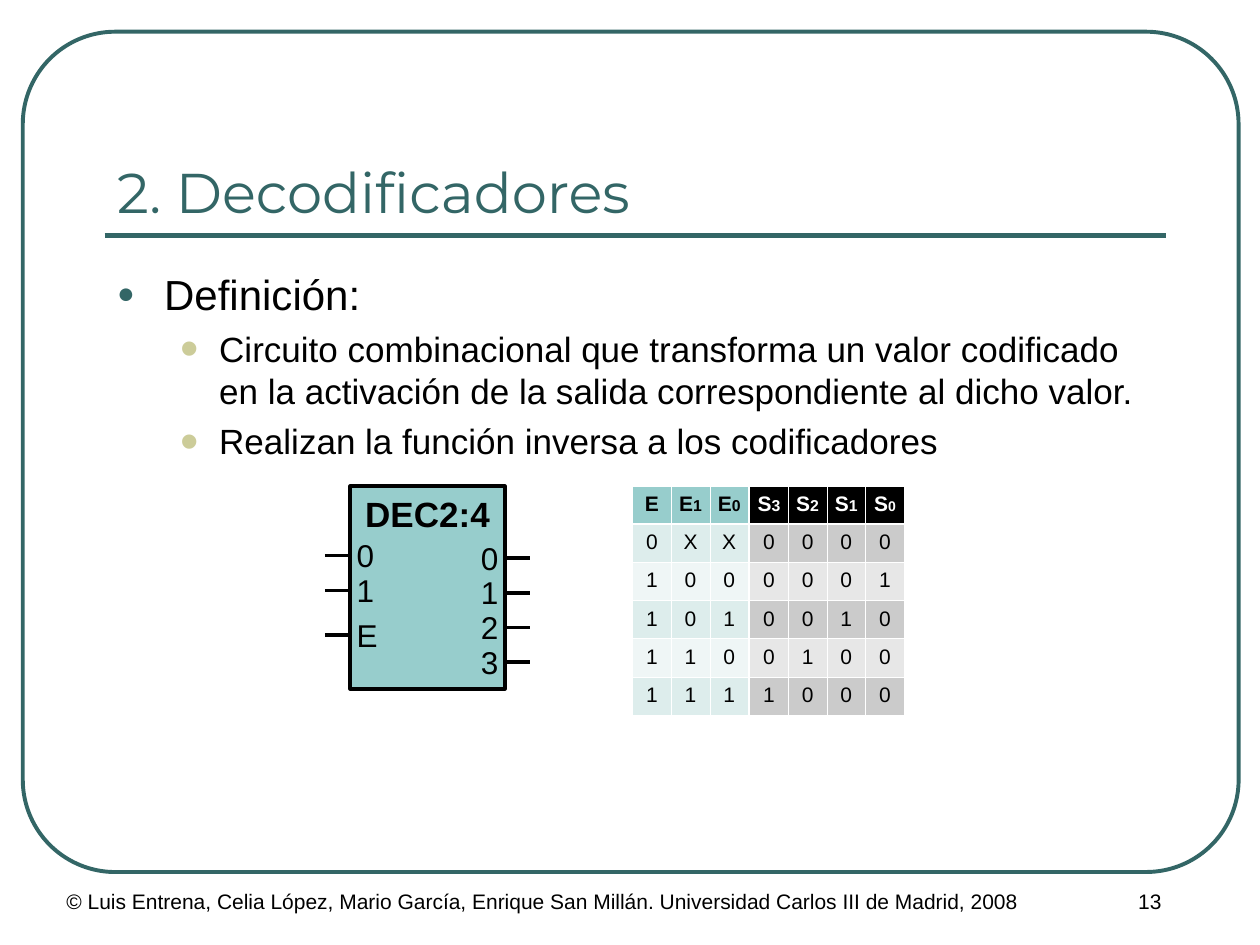
from lxml.etree import SubElement
from pptx import Presentation
from pptx.dml.color import RGBColor
from pptx.enum.shapes import MSO_CONNECTOR as Connector, MSO_SHAPE as Shape
from pptx.enum.text import MSO_ANCHOR as Anchor, MSO_AUTO_SIZE as AutoSize, PP_ALIGN as Align
from pptx.oxml.ns import qn
from pptx.util import Cm, Pt

rgb = RGBColor.from_string
TEAL, AQUA, BLACK, WHITE = "336666", "97CDCC", "000000", "FFFFFF"


def add_run(para, text, size, color=BLACK, font="Arial", bold=False):
    span = para.add_run()
    span.text = text
    for name, value in {"name": font, "size": Pt(size), "bold": bold}.items():
        setattr(span.font, name, value)
    span.font.color.rgb = rgb(color)


def add_line(x1, x2, y, color, width):
    """Draw a horizontal line; positions in centimetres, width in points."""
    line = page.shapes.add_connector(Connector.STRAIGHT, Cm(x1), Cm(y), Cm(x2), Cm(y))
    line.line.color.rgb = rgb(color)
    line.line.width = Pt(width)
    SubElement(line._element.spPr, qn("a:effectLst"))


deck = Presentation()
deck.slide_width, deck.slide_height = Cm(25.4), Cm(19.05)
page = deck.slides.add_slide(deck.slide_layouts[6])

# Frame and title rule
frame = page.shapes.add_shape(Shape.ROUNDED_RECTANGLE, Cm(0.46), Cm(0.64), Cm(24.51), Cm(16.94))
frame.adjustments[0] = 0.11
frame.shadow.inherit = False
frame.fill.background()
frame.line.color.rgb = rgb(TEAL)
frame.line.width = Pt(2.25)
add_line(2.11, 23.5, 4.75, TEAL, 3)

# Footer, page number and title
credit = "© Luis Entrena, Celia López, Mario García, Enrique San Millán. Universidad Carlos III de Madrid, 2008"
for text, place, size, color, font, align, anchor in [
    (credit, (1.09, 17.78, 21.59, 1.27), 12, BLACK, "Arial", Align.LEFT, Anchor.TOP),
    ("13", (20.96, 17.78, 4.44, 1.27), 12, BLACK, "Arial", Align.CENTER, Anchor.TOP),
    ("2. Decodificadores", (2.11, 1.47, 21.39, 3.18), 32, TEAL, "Montserrat", Align.LEFT, Anchor.BOTTOM),
]:
    box = page.shapes.add_textbox(*map(Cm, place)).text_frame
    box.word_wrap = True
    box.vertical_anchor = anchor
    box.paragraphs[0].alignment = align
    add_run(box.paragraphs[0], text, size, color, font)

# Definition
LEVELS = [
    {"size": 24, "margin": 0.95, "hang": 0.95, "bullet": "●", "color": TEAL, "scale": 70},
    {"size": 20, "margin": 2.06, "hang": 0.79, "bullet": "•", "color": "CCCC99", "scale": 150},
]
body = page.shapes.add_textbox(Cm(2.11), Cm(5.28), Cm(21.39), Cm(4.45)).text_frame
body.word_wrap = True
for index, (level, text) in enumerate([
    (0, "Definición:"),
    (1, "Circuito combinacional que transforma un valor codificado en la activación "
        "de la salida correspondiente al dicho valor."),
    (1, "Realizan la función inversa a los codificadores"),
]):
    style = LEVELS[level]
    para = body.add_paragraph() if index else body.paragraphs[0]
    para.level = level
    props = para._p.get_or_add_pPr()
    props.set("marL", str(Cm(style["margin"])))
    props.set("indent", str(-Cm(style["hang"])))
    SubElement(SubElement(props, qn("a:buClr")), qn("a:srgbClr"), val=style["color"])
    SubElement(props, qn("a:buSzPct"), val=str(style["scale"] * 1000))
    SubElement(props, qn("a:buFont"), typeface="Arial")
    SubElement(props, qn("a:buChar"), char=style["bullet"])
    if index:
        para.space_before = Pt(5)
    add_run(para, text, style["size"])

# Decoder block
block_left, block_width, pin_length, label_gap = 7.06, 3.12, 0.51, 0.13
block_right = block_left + block_width
block = page.shapes.add_shape(Shape.RECTANGLE, Cm(block_left), Cm(9.8), Cm(block_width), Cm(4.09))
block.shadow.inherit = False
block.fill.solid()
block.fill.fore_color.rgb = rgb(AQUA)
block.line.color.rgb = rgb(BLACK)
block.line.width = Pt(2)
block.text_frame.word_wrap = False
block.text_frame.vertical_anchor = Anchor.TOP
block.text_frame.paragraphs[0].alignment = Align.CENTER
add_run(block.text_frame.paragraphs[0], "DEC2:4", 20, bold=True)

inputs = [("0", 11.2), ("1", 11.9), ("E", 12.8)]
outputs = [(str(number), 11.25 + 0.7 * number) for number in range(4)]
for pins, pin_left, align in [
    (inputs, block_left - pin_length, Align.LEFT),
    (outputs, block_right, Align.RIGHT),
]:
    for text, y in pins:
        add_line(pin_left, pin_left + pin_length, y, BLACK, 2)
        width = 0.43 if text == "E" else 0.36
        left = block_left + label_gap if align == Align.LEFT else block_right - label_gap - width
        label = page.shapes.add_textbox(Cm(left), Cm(y - 0.39), Cm(width), Cm(0.76)).text_frame
        for name, value in {
            "margin_left": 0, "margin_right": 0, "margin_top": 0, "margin_bottom": 0,
            "word_wrap": False, "vertical_anchor": Anchor.MIDDLE,
            "auto_size": AutoSize.SHAPE_TO_FIT_TEXT,
        }.items():
            setattr(label, name, value)
        label.paragraphs[0].alignment = align
        add_run(label.paragraphs[0], text, 18)

# Truth table: inputs on the left, outputs on the right
column_width, row_height = 0.78, 0.71
input_rows = [["E", "E1", "E0"], "0XX", "100", "101", "110", "111"]
output_rows = [["S3", "S2", "S1", "S0"], "0000", "0001", "0010", "0100", "1000"]
for rows, left, head_fill, head_color, bands in [
    (input_rows, 12.75, AQUA, BLACK, ("EFF6F6", "DDEDEC")),
    (output_rows, 15.11, BLACK, WHITE, ("E7E7E7", "CBCBCB")),
]:
    columns = len(rows[0])
    table = page.shapes.add_table(
        len(rows), columns, Cm(left), Cm(9.8),
        Cm(column_width * columns), Cm(row_height * len(rows))).table
    table.first_row = table.horz_banding = False
    for column in table.columns:
        column.width = Cm(column_width)
    for row_index, values in enumerate(rows):
        table.rows[row_index].height = Cm(row_height)
        is_head = row_index == 0
        for column_index, text in enumerate(values):
            cell = table.cell(row_index, column_index)
            for name, value in {
                "margin_left": 0.1, "margin_right": 0.1, "margin_top": 0.13, "margin_bottom": 0.13,
            }.items():
                setattr(cell, name, Cm(value))
            borders = {"lnL": 0.45, "lnR": 0.45,
                       "lnT": 1.47 if row_index == 1 else 0.45,
                       "lnB": 1.47 if is_head else 0.45}
            for tag, width in borders.items():
                border = SubElement(cell._tc.get_or_add_tcPr(), qn("a:" + tag), w=str(Pt(width)))
                SubElement(SubElement(border, qn("a:solidFill")), qn("a:srgbClr"), val=WHITE)
            cell.fill.solid()
            cell.fill.fore_color.rgb = rgb(head_fill if is_head else bands[row_index % 2])
            para = cell.text_frame.paragraphs[0]
            para.alignment = Align.CENTER
            color = head_color if is_head else BLACK
            add_run(para, text[0], 12, color, bold=is_head)
            if text[1:]:
                add_run(para, text[1:], 8 if text == "S0" else 9, color, bold=True)

deck.save("out.pptx")
